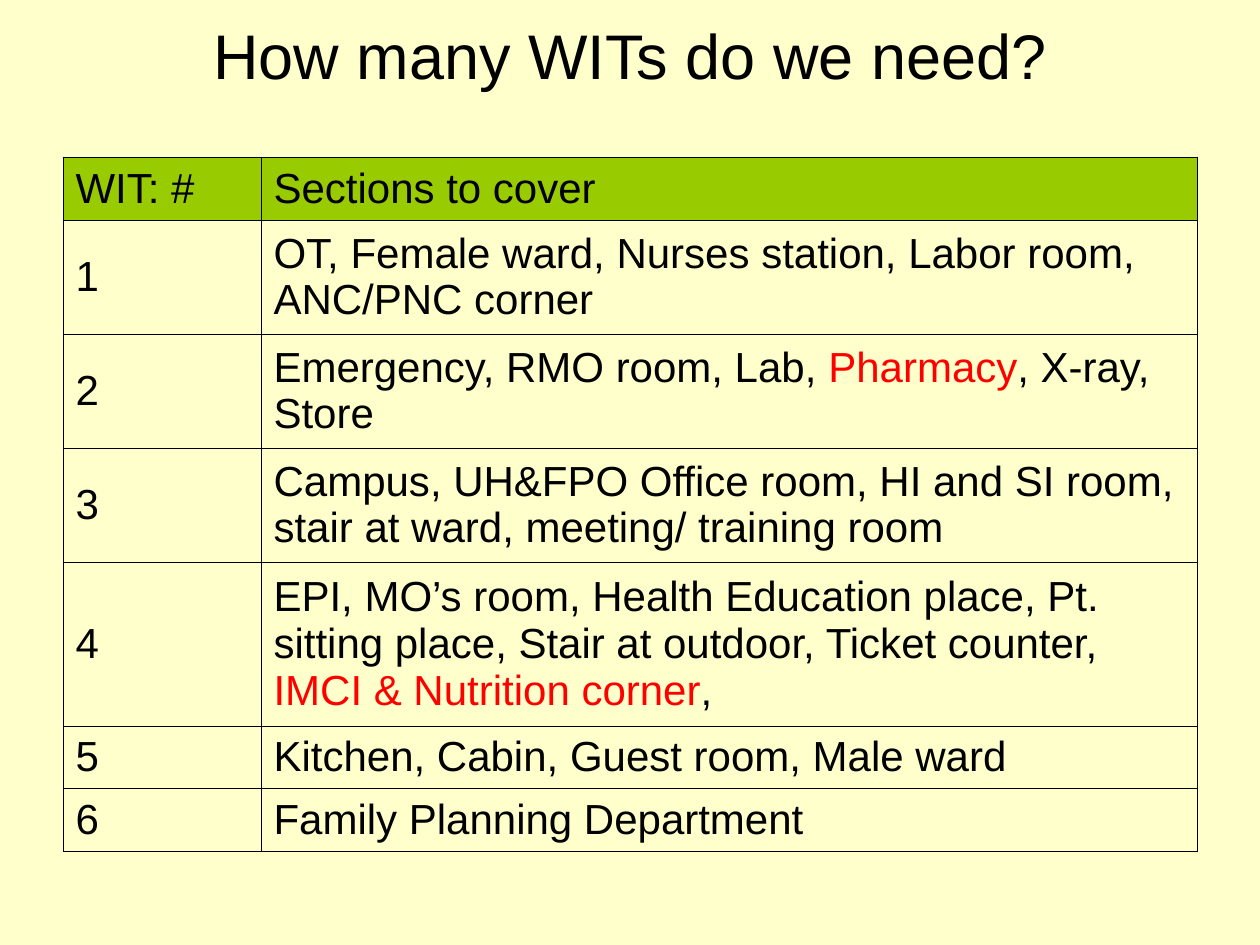
from lxml.etree import SubElement
from pptx import Presentation
from pptx.dml.color import RGBColor
from pptx.enum.text import MSO_ANCHOR, PP_ALIGN
from pptx.oxml.ns import qn
from pptx.util import Pt

PX = 914400 // 126
FONT = "Arial"
BLACK, RED, GREEN, CREAM = "000000", "FF0000", "99CC00", "FFFFCC"
COLUMN_WIDTHS = (198, 936)
SECTIONS = [
    ("WIT: #", 63, [("Sections to cover", BLACK)]),
    ("1", 114, [("OT, Female ward, Nurses station, Labor room, ANC/PNC corner", BLACK)]),
    ("2", 114, [("Emergency, RMO room, Lab,", BLACK), (" Pharmacy", RED),
                (", X-ray, Store", BLACK)]),
    ("3", 114, [("Campus, UH&FPO Office room, HI and SI room, stair at ward, "
                 "meeting/ training room", BLACK)]),
    ("4", 164, [("EPI, MO’s room, Health Education place, Pt. sitting place, "
                 "Stair at outdoor, Ticket counter, ", BLACK),
                ("IMCI & Nutrition corner", RED), (",", BLACK)]),
    ("5", 63, [("Kitchen, Cabin, Guest room, Male ward", BLACK)]),
    ("6", 63, [("Family Planning Department", BLACK)]),
]


def px(length):
    """Turn pixels into EMU."""
    return length * PX


def paint(fill, color):
    """Give a fill one solid colour."""
    fill.solid()
    fill.fore_color.rgb = RGBColor.from_string(color)


def apply(target, values):
    """Set each named attribute on the target."""
    for name, value in values.items():
        setattr(target, name, value)


def add_runs(paragraph, runs, size):
    """Write coloured runs into a paragraph."""
    for text, color in runs:
        run = paragraph.add_run()
        run.text = text
        apply(run.font, {"name": FONT, "size": Pt(size), "bold": False})
        paint(run.font.fill, color)


def add_borders(cell):
    """Draw a thin black line on all four sides of a cell."""
    properties = cell._tc.get_or_add_tcPr()
    for side in ("lnL", "lnR", "lnT", "lnB"):
        line = SubElement(properties, qn(f"a:{side}"), w=str(Pt(0.45)))
        solid = SubElement(line, qn("a:solidFill"))
        SubElement(solid, qn("a:srgbClr"), val=BLACK)


def fill_cell(cell, runs, is_header):
    """Format one table cell and write its text."""
    add_borders(cell)
    cell.vertical_anchor = MSO_ANCHOR.MIDDLE
    if is_header:
        paint(cell.fill, GREEN)
    else:
        cell.fill.background()
    add_runs(cell.text_frame.paragraphs[0], runs, 24)


def set_title(slide, text):
    """Place and format the slide title."""
    title = slide.shapes.title
    apply(title, {"left": px(63), "top": px(21), "width": px(1134), "height": px(67)})
    title.text_frame.vertical_anchor = MSO_ANCHOR.MIDDLE
    heading = title.text_frame.paragraphs[0]
    heading.alignment = PP_ALIGN.CENTER
    add_runs(heading, [(text, BLACK)], 36)


def add_sections_table(slide):
    """Build the table of teams and the sections they cover."""
    height = sum(row_height for _, row_height, _ in SECTIONS)
    table = slide.shapes.add_table(
        len(SECTIONS), len(COLUMN_WIDTHS), px(63), px(157),
        px(sum(COLUMN_WIDTHS)), px(height)).table
    table.horz_banding = False
    for column, width in zip(table.columns, COLUMN_WIDTHS):
        column.width = px(width)
    for index, (team, row_height, sections) in enumerate(SECTIONS):
        row = table.rows[index]
        row.height = px(row_height)
        for cell, runs in zip(row.cells, ([(team, BLACK)], sections)):
            fill_cell(cell, runs, index == 0)


def main():
    """Build and save the slide."""
    deck = Presentation()
    apply(deck, {"slide_width": px(1260), "slide_height": px(945)})
    slide = deck.slides.add_slide(deck.slide_layouts.get_by_name("Title Only"))
    paint(slide.background.fill, CREAM)
    set_title(slide, "How many WITs do we need?")
    add_sections_table(slide)
    deck.save("out.pptx")


if __name__ == "__main__":
    main()
